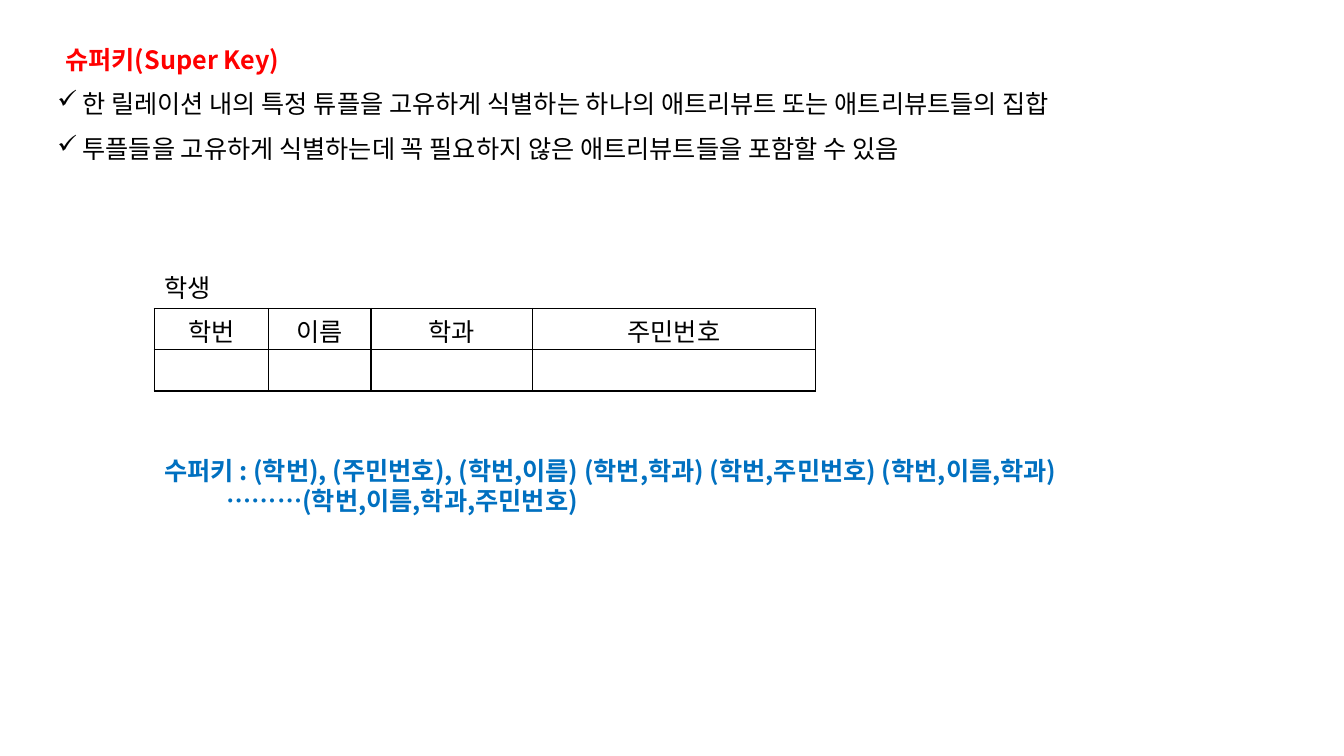
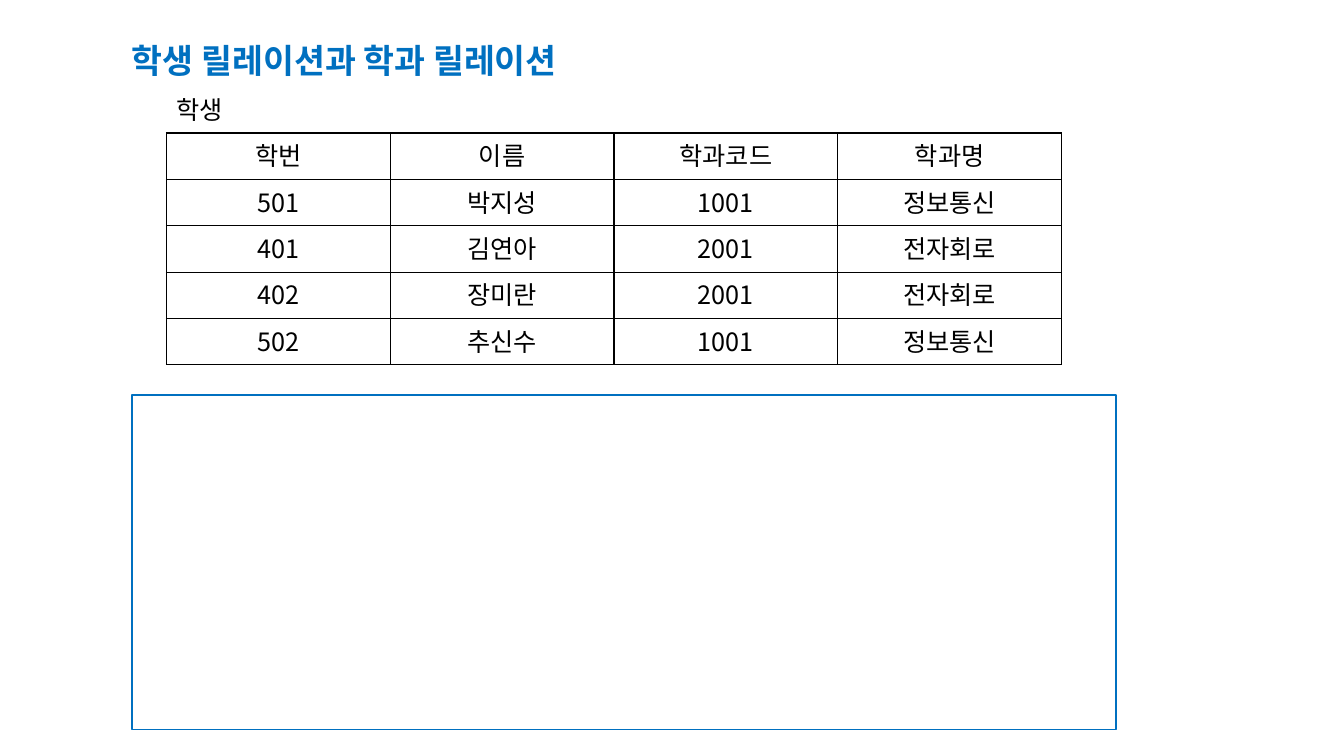
from dataclasses import dataclass

from lxml import etree
from pptx import Presentation
from pptx.dml.color import RGBColor
from pptx.enum.shapes import MSO_SHAPE
from pptx.enum.text import PP_ALIGN
from pptx.oxml.ns import qn
from pptx.slide import Slide
from pptx.util import Inches, Pt

RECTANGLE = MSO_SHAPE.RECTANGLE
LEFT, CENTER, JUSTIFY = PP_ALIGN.LEFT, PP_ALIGN.CENTER, PP_ALIGN.JUSTIFY

BLACK = RGBColor(0x00, 0x00, 0x00)
RED = RGBColor(0xFF, 0x00, 0x00)
BLUE = RGBColor(0x00, 0x70, 0xC0)

FONT = "Noto Sans CJK KR"
BODY_SIZE = 18
LINE_FACTOR = 1.19
BORDER_SIDES = ("a:lnL", "a:lnR", "a:lnT", "a:lnB")


@dataclass(frozen=True)
class Line:
    """One paragraph; indent and hanging are in inches."""
    text: str
    color: RGBColor = BLACK
    size: float = BODY_SIZE
    bold: bool = False
    align: PP_ALIGN = LEFT
    spacing: float = 1.0
    indent: float = 0.0
    hanging: float = 0.0
    bullet: str = ""


@dataclass(frozen=True)
class Grid:
    left: float
    top: float
    columns: tuple[float, ...]
    row_height: float
    rows: tuple[tuple[str, ...], ...]


def write_line(para, line: Line) -> None:
    para.alignment = line.align
    para.line_spacing = Pt(round(line.size * LINE_FACTOR * line.spacing, 1))
    properties = para._p.get_or_add_pPr()
    properties.set("marL", str(Inches(line.indent)))
    properties.set("indent", str(-Inches(line.hanging)))
    if line.bullet:
        etree.SubElement(properties, qn("a:buChar"), char=line.bullet)
    span = para.add_run()
    span.text = line.text
    span.font.size = Pt(line.size)
    span.font.bold = line.bold
    span.font.color.rgb = line.color
    span.font.name = FONT
    etree.SubElement(span._r.get_or_add_rPr(), qn("a:ea"), typeface=FONT)


def add_text(page: Slide, left: float, top: float, width: float, height: float,
             *lines: Line) -> None:
    box = page.shapes.add_textbox(Inches(left), Inches(top), Inches(width), Inches(height))
    frame = box.text_frame
    frame.word_wrap = True
    for index, line in enumerate(lines):
        para = frame.add_paragraph() if index else frame.paragraphs[0]
        write_line(para, line)


def add_borders(cell) -> None:
    properties = cell._tc.get_or_add_tcPr()
    for position, side in enumerate(BORDER_SIDES):
        border = etree.Element(qn(side), w=str(Pt(1)))
        fill = etree.SubElement(border, qn("a:solidFill"))
        etree.SubElement(fill, qn("a:srgbClr"), val=str(BLACK))
        properties.insert(position, border)


def add_grid(page: Slide, grid: Grid) -> None:
    row_count = len(grid.rows)
    table = page.shapes.add_table(
        row_count, len(grid.columns), Inches(grid.left), Inches(grid.top),
        Inches(sum(grid.columns)), Inches(grid.row_height * row_count)).table
    table.first_row = False
    table.horz_banding = False
    for column, width in zip(table.columns, grid.columns):
        column.width = Inches(width)
    for row, texts in zip(table.rows, grid.rows):
        row.height = Inches(grid.row_height)
        for cell, text in zip(row.cells, texts):
            cell.margin_top, cell.margin_bottom = Inches(0.1), Inches(0)
            cell.fill.background()
            add_borders(cell)
            if text:
                write_line(cell.text_frame.paragraphs[0], Line(text, align=CENTER))


def add_student_table(page: Slide, grid: Grid, label_top: float) -> None:
    """Draw a table with its relation name above it."""
    add_grid(page, grid)
    add_text(page, grid.left, label_top, 0.71, 0.4, Line("학생"))


def add_check(text: str) -> Line:
    return Line(text, align=JUSTIFY, spacing=1.5, indent=0.5, hanging=0.25, bullet="✓")


def build_super_key(page: Slide) -> None:
    add_text(
        page, 0.22, 0.24, 13.12, 1.41,
        Line("슈퍼키(Super Key)", RED, bold=True, spacing=1.5, indent=0.33),
        add_check("한 릴레이션 내의 특정 튜플을 고유하게 식별하는 하나의 애트리뷰트 또는 애트리뷰트들의 집합"),
        add_check("투플들을 고유하게 식별하는데 꼭 필요하지 않은 애트리뷰트들을 포함할 수 있음"))
    add_student_table(page, Grid(
        1.53, 3.06, (1.13, 1.02, 1.6, 2.81), 0.41,
        (("학번", "이름", "학과", "주민번호"), ("",) * 4)), 2.66)
    add_text(
        page, 1.53, 4.47, 9.78, 1.0,
        Line("수퍼키 : (학번), (주민번호), (학번,이름) (학번,학과) (학번,주민번호) (학번,이름,학과)",
             BLUE, bold=True),
        Line("………(학번,이름,학과,주민번호)", BLUE, bold=True, indent=0.62))


def build_relations(page: Slide) -> None:
    add_text(page, 1.21, 0.35, 4.94, 0.5,
             Line("학생 릴레이션과 학과 릴레이션", BLUE, size=24, bold=True))
    add_student_table(page, Grid(
        1.65, 1.32, (2.22,) * 4, 0.46,
        (("학번", "이름", "학과코드", "학과명"),
         ("501", "박지성", "1001", "정보통신"),
         ("401", "김연아", "2001", "전자회로"),
         ("402", "장미란", "2001", "전자회로"),
         ("502", "추신수", "1001", "정보통신"))), 0.89)
    frame = page.shapes.add_shape(
        RECTANGLE, Inches(1.31), Inches(3.92), Inches(9.76), Inches(3.32))
    frame.shadow.inherit = False
    frame.fill.background()
    frame.line.color.rgb = BLUE
    frame.line.width = Pt(1)


def main() -> None:
    deck = Presentation()
    deck.slide_width, deck.slide_height = Inches(13.33), Inches(7.5)
    blank = deck.slide_layouts[6]
    for build in (build_super_key, build_relations):
        build(deck.slides.add_slide(blank))
    deck.save("out.pptx")


if __name__ == "__main__":
    main()
